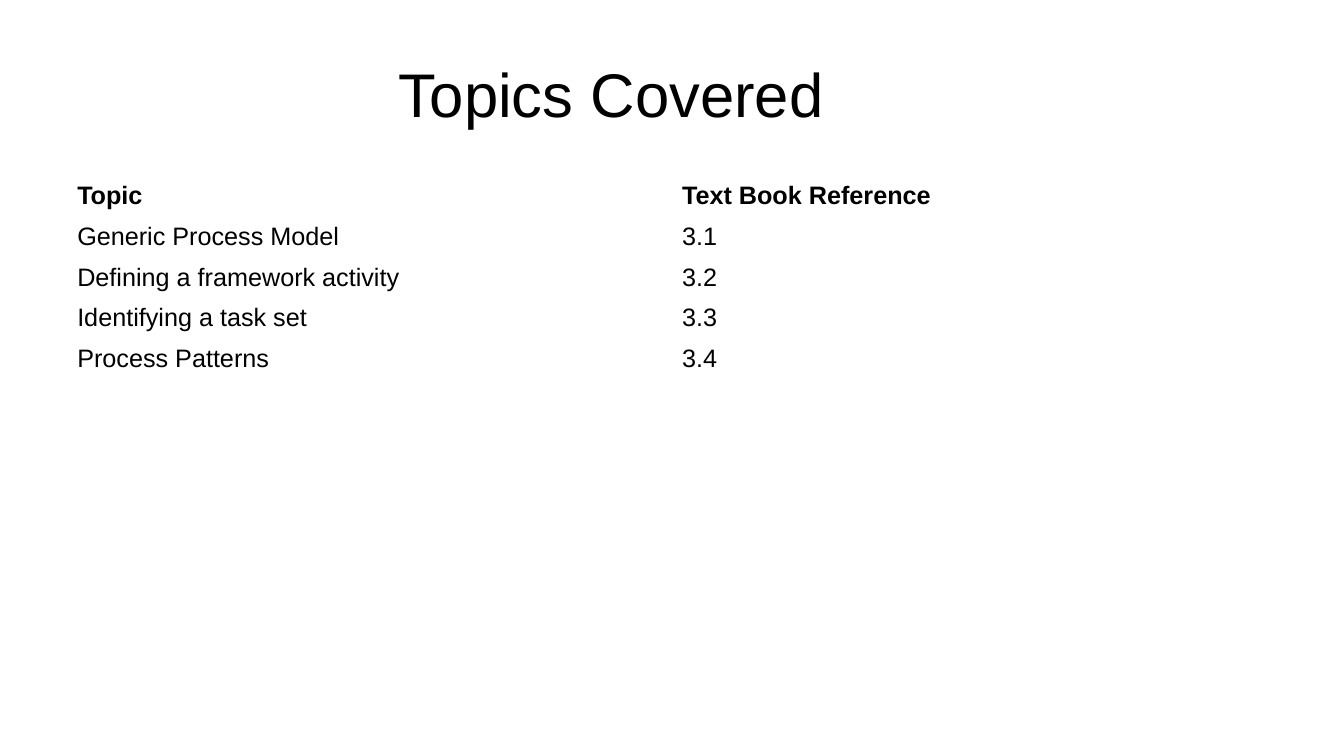
"""Build the Topics Covered slide with its table of textbook references."""
from dataclasses import dataclass

from pptx import Presentation
from pptx.dml.color import RGBColor
from pptx.enum.text import MSO_ANCHOR, MSO_AUTO_SIZE, PP_ALIGN
from pptx.slide import Slide
from pptx.table import _Cell
from pptx.text.text import Font
from pptx.util import Pt

BLACK = RGBColor(0x00, 0x00, 0x00)
TYPEFACE = "Arial"
LEFT = Pt(48)
COLUMN_WIDTH = Pt(432)
ROW_HEIGHT = Pt(29.2)
ROW_COUNT = 9


@dataclass(frozen=True)
class Entry:
    topic: str
    reference: str
    bold: bool = False


ENTRIES = [
    Entry("Topic", "Text Book Reference", bold=True),
    Entry("Generic Process Model", "3.1"),
    Entry("Defining a framework activity", "3.2"),
    Entry("Identifying a task set", "3.3"),
    Entry("Process Patterns", "3.4"),
]


def style_font(font: Font, size: float, bold: bool = False) -> None:
    font.name = TYPEFACE
    font.size = Pt(size)
    font.bold = bold
    font.color.rgb = BLACK


def add_heading(slide: Slide, wording: str) -> None:
    heading = slide.shapes.title
    heading.left, heading.top = LEFT, Pt(21.6)
    heading.width, heading.height = Pt(798), Pt(90)
    frame = heading.text_frame
    frame.text = wording
    frame.auto_size = MSO_AUTO_SIZE.NONE
    frame.vertical_anchor = MSO_ANCHOR.MIDDLE
    frame.paragraphs[0].alignment = PP_ALIGN.CENTER
    style_font(frame.paragraphs[0].runs[0].font, 44)


def fill_cell(cell: _Cell, wording: str, bold: bool) -> None:
    cell.text_frame.text = wording
    style_font(cell.text_frame.paragraphs[0].runs[0].font, 18, bold)


def add_topics(slide: Slide, entries: list[Entry]) -> None:
    topics = slide.shapes.add_table(
        ROW_COUNT, 2, LEFT, Pt(126), COLUMN_WIDTH * 2, ROW_HEIGHT * ROW_COUNT
    ).table
    topics.first_row = False
    topics.horz_banding = False
    for column in topics.columns:
        column.width = COLUMN_WIDTH
    for row in topics.rows:
        row.height = ROW_HEIGHT
    for cell in topics.iter_cells():
        cell.fill.background()
    for row, entry in zip(topics.rows, entries):
        for cell, wording in zip(row.cells, (entry.topic, entry.reference)):
            fill_cell(cell, wording, entry.bold)


def main() -> None:
    presentation = Presentation()
    presentation.slide_width = Pt(960)
    presentation.slide_height = Pt(540)
    slide = presentation.slides.add_slide(presentation.slide_layouts[5])
    add_heading(slide, "Topics Covered\t")
    add_topics(slide, ENTRIES)
    presentation.save("out.pptx")


if __name__ == "__main__":
    main()
